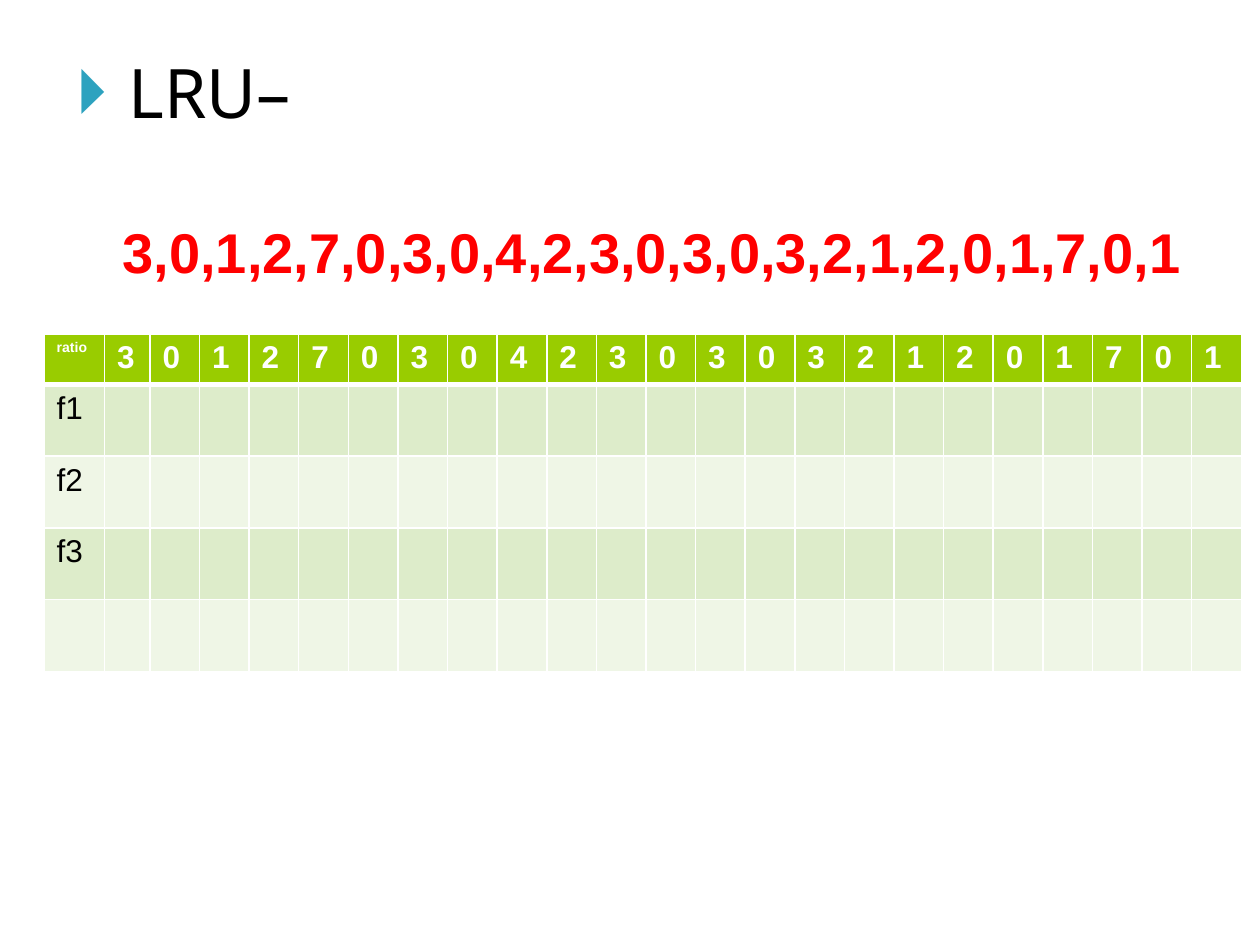
from dataclasses import dataclass
from lxml.etree import SubElement
from pptx import Presentation
from pptx.dml.color import RGBColor
from pptx.enum.text import MSO_ANCHOR, MSO_AUTO_SIZE, PP_ALIGN
from pptx.oxml import parse_xml
from pptx.oxml.ns import nsdecls, qn
from pptx.util import Inches, Pt


@dataclass
class Theme:
    face: str = "Arial"
    lead: str = "Noto Sans"
    red: str = "FF0000"
    black: str = "000000"
    white: str = "FFFFFF"
    head: str = "99CC00"
    bands: tuple = ("DDECCA", "EFF6E6")
    mark: str = "2DA2BF"
    title: int = 32
    list: int = 39
    cell: int = 18
    small: int = 8


theme = Theme()


def style(font, name, size, color, bold=False):
    for key, val in {"name": name, "size": Pt(size), "bold": bold}.items():
        setattr(font, key, val)
    font.color.rgb = RGBColor.from_string(color)


def edge(cell, widths):
    """Draw the left, right, top and bottom borders, ahead of the fill."""
    props = cell._tc.get_or_add_tcPr()
    for spot, (side, width) in enumerate(zip("LRTB", widths)):
        props.insert(spot, parse_xml(
            f'<a:ln{side} {nsdecls("a")} w="{Pt(width)}"><a:solidFill>'
            f'<a:srgbClr val="{theme.white}"/></a:solidFill></a:ln{side}>'))


deck = Presentation()
deck.slide_width, deck.slide_height = Inches(10), Inches(7.5)
slide = deck.slides.add_slide(deck.slide_layouts[1])
title, body = slide.shapes.title, slide.placeholders[1]

# Place the title and the list
spots = ((title, (0.68, 1.68, 9, 0.63)), (body, (0.35, 0.35, 6.37, 0.76)))
for shape, spot in spots:
    for key, val in zip(("left", "top", "width", "height"), spot):
        setattr(shape, key, Inches(val))

# Reference string
pages = "3,0,1,2,7,0,3,0,4,2,3,0,3,0,3,2,1,2,0,1,7,0,1"
frame = title.text_frame
frame.text = pages
frame.auto_size = MSO_AUTO_SIZE.NONE
frame.vertical_anchor = MSO_ANCHOR.BOTTOM
line = frame.paragraphs[0]
line.alignment = PP_ALIGN.CENTER
style(line.runs[0].font, theme.face, theme.title, theme.red, True)

# Method name as a list item
frame = body.text_frame
frame.text = "LRU–"
frame.auto_size = MSO_AUTO_SIZE.SHAPE_TO_FIT_TEXT
line = frame.paragraphs[0]
line.space_before = Pt(0)
props = line._p.get_or_add_pPr()
props.set("marL", str(Inches(0.57)))
props.set("indent", str(Inches(-0.4)))
tint = SubElement(props, qn("a:buClr"))
SubElement(tint, qn("a:srgbClr")).set("val", theme.mark)
SubElement(props, qn("a:buChar")).set("char", "🞂")
style(line.runs[0].font, theme.lead, theme.list, theme.black)

# Frame table: one column a page, one row a frame
heads = ["ratio"] + pages.split(",")
names = ["f1", "f2", "f3", ""]
wide, first, second = 9.51, 0.48, 0.36
rest = len(heads) - 2
cols = [first, second] + [(wide - first - second) / rest] * rest
rows = [0.32] + [0.57] * len(names)
grid = slide.shapes.add_table(
    len(rows), len(cols), Inches(0.35), Inches(2.65),
    Inches(wide), Inches(sum(rows))).table
for col, width in zip(grid.columns, cols):
    col.width = Inches(width)
for row, height in zip(grid.rows, rows):
    row.height = Inches(height)

for r, row in enumerate(grid.rows):
    texts = heads if r == 0 else [names[r - 1]] + [""] * (len(heads) - 1)
    fill = theme.head if r == 0 else theme.bands[(r - 1) % 2]
    color = theme.white if r == 0 else theme.black
    for cell, text in zip(row.cells, texts):
        cell.text = text
        size = theme.small if text == "ratio" else theme.cell
        style(cell.text_frame.paragraphs[0].font, theme.face, size, color,
              r == 0)
        cell.fill.solid()
        cell.fill.fore_color.rgb = RGBColor.from_string(fill)
        edge(cell, (1, 1, 3 if r == 1 else 1, 3 if r == 0 else 1))

deck.save("out.pptx")
